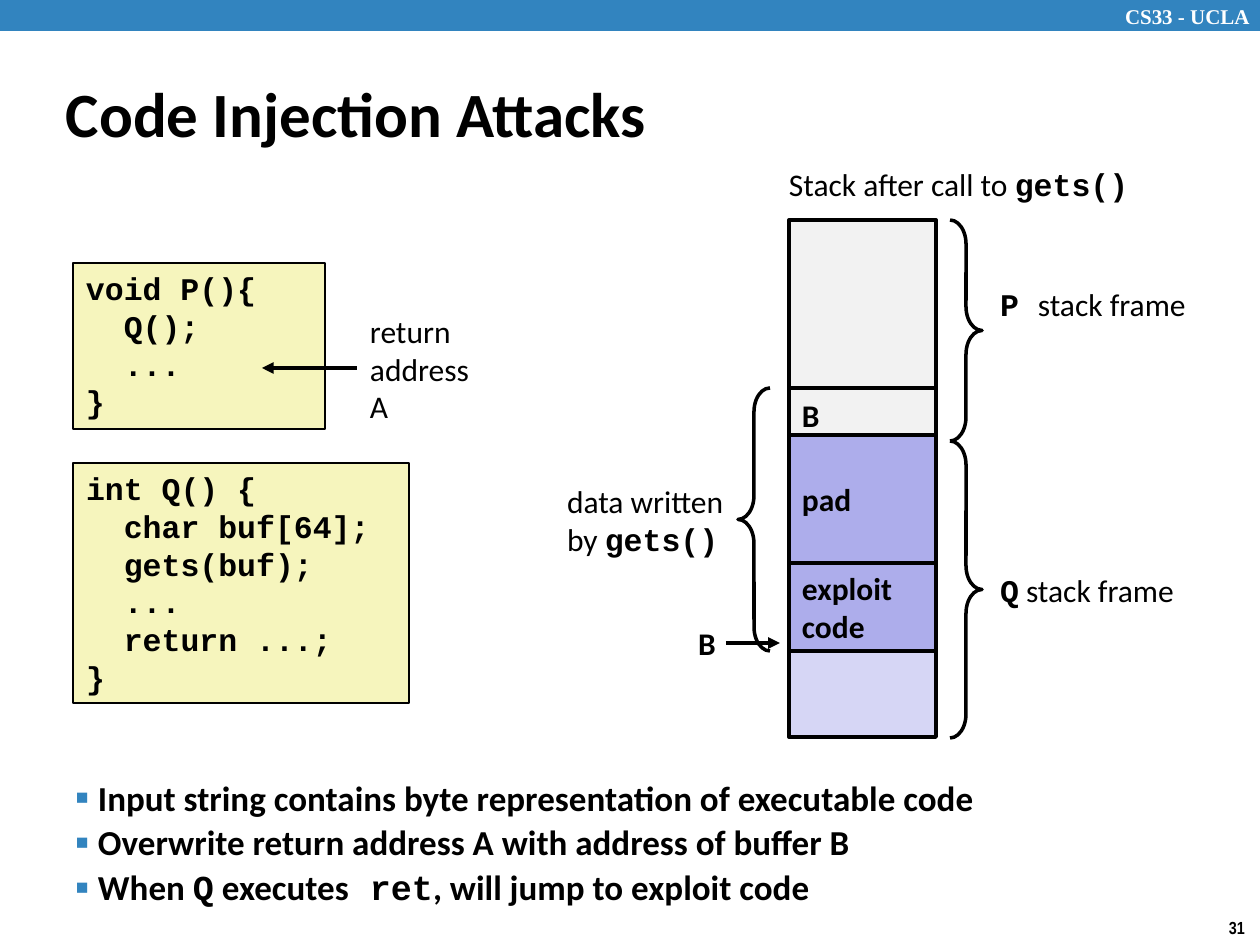
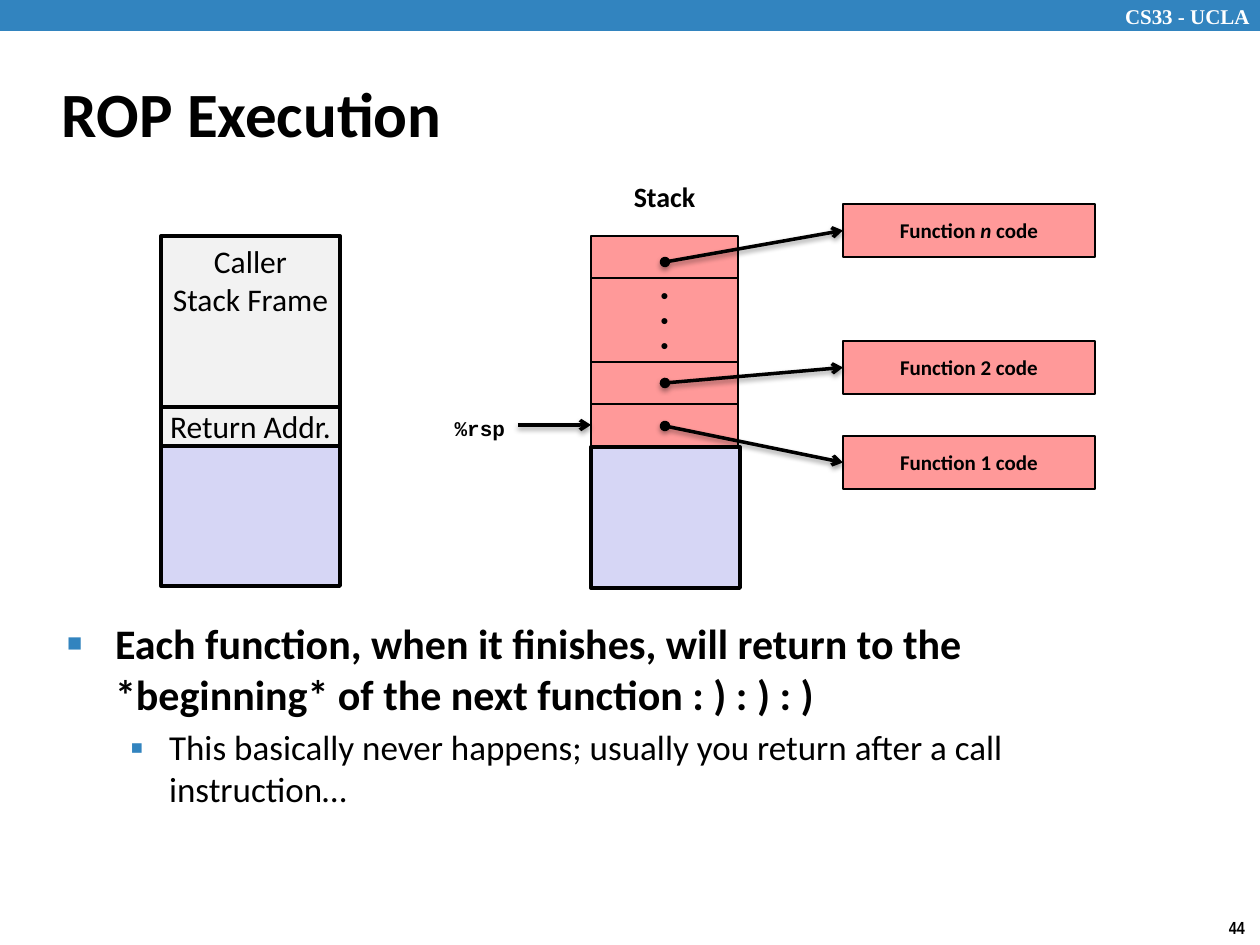
"""Build two slides on code injection and return-oriented execution."""
from dataclasses import dataclass

from lxml import etree
from pptx import Presentation
from pptx.dml.color import RGBColor
from pptx.enum.shapes import MSO_CONNECTOR, MSO_SHAPE
from pptx.enum.text import MSO_ANCHOR, PP_ALIGN
from pptx.oxml.ns import qn
from pptx.util import Pt

RECT, LEFT, RIGHT = MSO_SHAPE.RECTANGLE, MSO_SHAPE.LEFT_BRACE, MSO_SHAPE.RIGHT_BRACE
STRAIGHT = MSO_CONNECTOR.STRAIGHT
TOP, MID = MSO_ANCHOR.TOP, MSO_ANCHOR.MIDDLE
START, CENTER, END = PP_ALIGN.LEFT, PP_ALIGN.CENTER, PP_ALIGN.RIGHT
SCALE = 914400 / 126


@dataclass(frozen=True)
class Theme:
    """Colours, fonts and type sizes of the deck."""
    blue: str = "3284BF"
    white: str = "FFFFFF"
    black: str = "000000"
    cream: str = "F6F5BD"
    grey: str = "F2F2F2"
    pale: str = "D6D6F5"
    violet: str = "ADADEB"
    pink: str = "FF9999"
    sans: str = "Calibri"
    mono: str = "Courier New"
    serif: str = "Times New Roman"
    narrow: str = "Arial Narrow"
    dot: str = "Arial"
    title: int = 36
    lead: int = 24
    body: int = 20
    label: int = 18
    head: int = 16
    small: int = 12
    page: int = 10


T = Theme()
MONO = {"name": T.mono, "bold": True}
PLAIN_MONO = {"name": T.mono}


def px(length):
    """Turn px into EMU."""
    return round(length * SCALE)


def rgb(color):
    """Turn a hex string into a colour."""
    return RGBColor.from_string(color)


def add(parent, tag, **attrs):
    """Append a drawing element with the given attributes."""
    node = etree.SubElement(parent, qn("a:" + tag))
    for key, value in attrs.items():
        node.set(key, str(value))
    return node


def bullet(para, char, scale, left, hang):
    """Give a paragraph a blue bullet with a hanging indent."""
    props = para._p.get_or_add_pPr()
    props.set("marL", str(px(left)))
    props.set("indent", str(-px(hang)))
    add(add(props, "buClr"), "srgbClr", val=T.blue)
    add(props, "buSzPct", val=scale * 1000)
    add(props, "buFont", typeface=T.dot)
    add(props, "buChar", char=char)


def style(para, runs, size, name, bold, color):
    """Fill a paragraph with runs; a pair holds text and font changes."""
    para.font.size, para.font.name, para.font.bold = Pt(size), name, bold
    para.font.color.rgb = rgb(color)
    for part in [runs] if isinstance(runs, str) else runs:
        words, change = (part, {}) if isinstance(part, str) else part
        run = para.add_run()
        run.text = words
        for key, value in change.items():
            setattr(run.font, key, value)


def lines(shape, count, anchor=TOP, side=13, edge=6):
    """Prepare a text frame and return its paragraphs."""
    frame = shape.text_frame
    frame.word_wrap, frame.vertical_anchor = True, anchor
    frame.margin_left = frame.margin_right = px(side)
    frame.margin_top = frame.margin_bottom = px(edge)
    for _ in range(count - 1):
        frame.add_paragraph()
    return frame.paragraphs


def write(shape, rows, size=T.label, name=T.sans, bold=False, color=T.black,
          align=START, gap=None, **frame):
    """Write rows of text in one style."""
    for para, runs in zip(lines(shape, len(rows), **frame), rows):
        para.alignment = align
        if gap:
            para.line_spacing = gap
        style(para, runs, size, name, bold, color)


def field(slide, at):
    """Add an empty text box."""
    return slide.shapes.add_textbox(*map(px, at))


def label(slide, at, rows, **look):
    """Add a text box with rows of text."""
    write(field(slide, at), rows, **look)


def box(slide, at, fill, width=2.25, rows=(), **look):
    """Add a filled rectangle, outlined unless width is zero."""
    shape = slide.shapes.add_shape(RECT, *map(px, at))
    shape.shadow.inherit = False
    shape.fill.solid()
    shape.fill.fore_color.rgb = rgb(fill)
    if width:
        shape.line.color.rgb = rgb(T.black)
        shape.line.width = Pt(width)
    else:
        shape.line.fill.background()
    if rows:
        write(shape, rows, **look)
    return shape


def brace(slide, kind, at):
    """Add an open brace."""
    shape = slide.shapes.add_shape(kind, *map(px, at))
    shape.shadow.inherit = False
    shape.adjustments[0] = 0.75
    shape.fill.background()
    shape.line.color.rgb = rgb(T.black)
    shape.line.width = Pt(2)


def arrow(slide, ends, width=2.25, tip="triangle", dot=False, shade=False, goal=None):
    """Add an arrow, joined to the left side of goal if there is one."""
    link = slide.shapes.add_connector(STRAIGHT, *map(px, ends))
    if goal is not None:
        link.end_connect(goal, 1)
    link.line.color.rgb = rgb(T.black)
    link.line.width = Pt(width)
    line = link.line._get_or_add_ln()
    if dot:
        add(line, "headEnd", type="oval")
    add(line, "tailEnd", type=tip)
    effect = add(link._element.spPr, "effectLst")
    if shade:
        cast = add(effect, "outerShdw", blurRad=Pt(3.1), dist=Pt(1.6),
                   dir=5400000, rotWithShape=0)
        add(add(cast, "srgbClr", val=T.black), "alpha", val=38000)


def page(deck, title, at, number):
    """Add a slide with its band, title and page number."""
    slide = deck.slides.add_slide(deck.slide_layouts[6])
    box(slide, (0, 0, 1260, 31), T.blue, 0)
    label(slide, (1125, 0, 135, 32), ["CS33 - UCLA"], size=T.small, name=T.serif,
          bold=True, color=T.white, anchor=MID, side=0, edge=0)
    label(slide, (1229, 911, 31, 34), [str(number)], size=T.page, name=T.narrow,
          bold=True, side=0)
    label(slide, at, [title], size=T.title, bold=True, anchor=MID)
    return slide


def code(slide, at, rows):
    """Add a listing on a cream box."""
    box(slide, at, T.cream, 1, rows, name=T.mono, bold=True, gap=Pt(21.6))


def inject(deck):
    """Build the slide on code injection."""
    slide = page(deck, "Code Injection Attacks", (53, 73, 1144, 79), 31)
    points = [
        "Input string contains byte representation of executable code",
        "Overwrite return address A with address of buffer B",
        ["When ", ("Q", PLAIN_MONO), " executes", (" ret", PLAIN_MONO),
         ", will jump to exploit code"],
    ]
    paras = lines(field(slide, (63, 766, 1138, 157)), len(points), MID)
    for spot, (para, runs) in enumerate(zip(paras, points)):
        bullet(para, "■", 60, 22, 22)
        para.line_spacing, para.space_before = 0.9, Pt(4 if spot else 0)
        style(para, runs, T.body, T.sans, True, T.black)

    code(slide, (73, 463, 336, 240), ["int Q() {", "  char buf[64];", "  gets(buf);",
                                      "  ...", "  return ...;", "}"])
    code(slide, (73, 263, 252, 166), ["void P(){", "  Q();", "  ...", "}"])
    label(slide, (357, 305, 140, 127), ["return", "address", "A"], anchor=MID)
    arrow(slide, (357, 368, 262, 368))

    label(slide, (776, 159, 390, 50), [["Stack after call to ", ("gets()", MONO)]])
    cells = [
        (220, 168, T.grey, ()),
        (388, 53, T.grey, ["B"]),
        (651, 86, T.pale, ()),
        (563, 88, T.violet, ["exploit", "code"]),
        (435, 128, T.violet, ["pad"]),
    ]
    for top, height, fill, rows in cells:
        box(slide, (789, top, 147, height), fill, rows=rows, bold=True, anchor=MID)
    for top, name in ((279, "P "), (565, "Q")):
        words = "stack frame" if name == "P " else " stack frame"
        label(slide, (987, top, 230, 50), [[(name, MONO), words]], anchor=MID)
    label(slide, (685, 618, 43, 50), ["B"], bold=True, anchor=MID)
    arrow(slide, (726, 643, 780, 643))
    label(slide, (554, 475, 195, 90), ["data written", ["by ", ("gets()", MONO)]],
          anchor=MID)
    brace(slide, RIGHT, (950, 220, 32, 221))
    brace(slide, RIGHT, (950, 441, 32, 297))
    brace(slide, LEFT, (738, 388, 32, 263))


def execute(deck):
    """Build the slide on return-oriented execution."""
    slide = page(deck, "ROP Execution", (49, 60, 1046, 105), 44)
    first, second = lines(field(slide, (54, 612, 1089, 217)), 2)
    bullet(first, "■", 60, 48, 48)
    style(first, "Each function, when it finishes, will return to the "
          "*beginning* of the next function : ) : ) : )",
          T.lead, T.sans, True, T.black)
    second.level = 1
    bullet(second, "▪", 110, 102, 39)
    second.space_before = Pt(4)
    style(second, "This basically never happens; usually you return after a call "
          "instruction…", T.body, T.sans, False, T.black)

    left, wide = 591, 147
    base, *_ = [box(slide, (left, top, wide, 42), T.pink, 1) for top in (404, 362, 236)]
    box(slide, (left, 278, wide, 84), T.pink, 1, ["•"] * 3, size=T.small, name=T.dot,
        bold=True, align=CENTER, anchor=MID, edge=0)
    calls = [
        (436, 426, "Function 1 code"),
        (341, 383, "Function 2 code"),
        (204, 262, ["Function ", ("n", {"italic": True}), " code"]),
    ]
    for top, start, name in calls:
        goal = box(slide, (843, top, 252, 53), T.pink, 1.5, [name], size=T.small,
                   bold=True, align=CENTER, anchor=MID)
        arrow(slide, (665, start, 843, top + 26), 2, "arrow", True, True, goal)
    arrow(slide, (518, 425, left, 425), 2, "arrow", shade=True, goal=base)
    box(slide, (left, 174, wide, 47), T.white, 0, ["Stack"], size=T.head, bold=True,
        align=CENTER)
    label(slide, (370, 407, 148, 42), ["%rsp"], size=T.small, name=T.mono, bold=True,
          align=END, anchor=MID)
    box(slide, (left, 447, 149, 141), T.pale)

    box(slide, (161, 446, 179, 140), T.pale)
    box(slide, (161, 405, 179, 41), T.grey, rows=["Return Addr."], align=CENTER,
        anchor=MID, side=0, edge=0)
    box(slide, (161, 236, 179, 171), T.grey, rows=["Caller", "Stack Frame"],
        align=CENTER, side=0)


def main():
    """Build and save the deck."""
    deck = Presentation()
    deck.slide_width, deck.slide_height = px(1260), px(945)
    inject(deck)
    execute(deck)
    deck.save("out.pptx")


if __name__ == "__main__":
    main()
